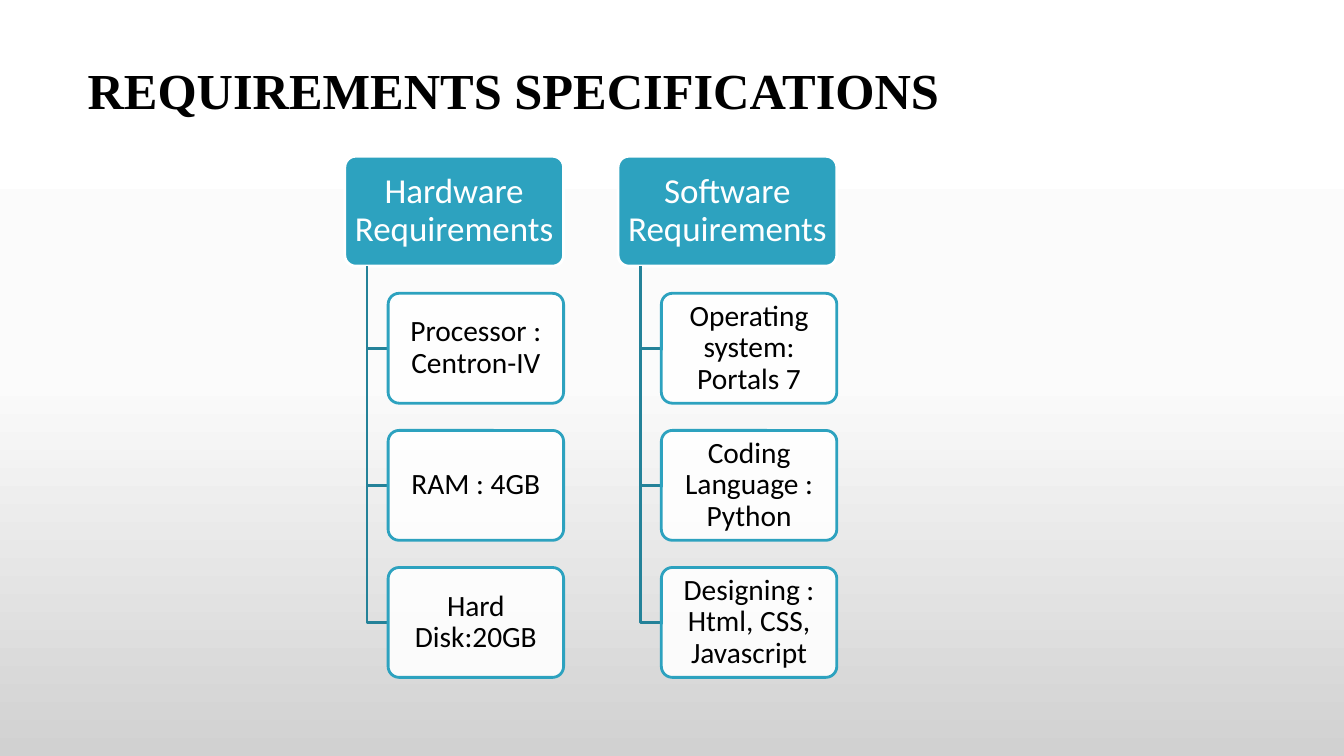
"""Build the requirements slide: two headed columns of linked boxes."""
from copy import deepcopy

from lxml import etree
from pptx import Presentation
from pptx.dml.color import RGBColor
from pptx.enum.shapes import MSO_SHAPE
from pptx.enum.text import MSO_ANCHOR, PP_ALIGN
from pptx.oxml.ns import qn
from pptx.util import Inches, Pt

ROUND = MSO_SHAPE.ROUNDED_RECTANGLE
MIDDLE = MSO_ANCHOR.MIDDLE
CENTER = PP_ALIGN.CENTER

THEME = {
    "teal": RGBColor.from_string("2DA2BF"),
    "link": RGBColor.from_string("248299"),
    "white": RGBColor.from_string("FFFFFF"),
    "black": RGBColor.from_string("000000"),
    "stops": [(0, "FFFFFF"), (0.5, "FBFBFB"), (1, "D1D1D1")],
    "line": Pt(2),
    "title": {"name": "Times New Roman", "size": Pt(36), "bold": True},
    "head": {"name": "Calibri", "size": Pt(25)},
    "item": {"name": "Calibri", "size": Pt(21)},
}
COLUMNS = [
    ("Hardware Requirements",
     ["Processor : Centron-IV", "RAM : 4GB", "Hard Disk:20GB"]),
    ("Software Requirements",
     ["Operating system: Portals 7", "Coding Language : Python",
      "Designing : Html, CSS, Javascript"]),
]
LEFT, TOP, HIGH = 3.42, 1.55, 1.09
HEAD_W, ITEM_W = 2.17, 1.74
COL_STEP, ROW_STEP = 2.71, 1.36


def write(frame, text, font, color):
    """Put one styled run in a text frame."""
    run = frame.paragraphs[0].add_run()
    run.text = text
    for key, value in font.items():
        setattr(run.font, key, value)
    run.font.color.rgb = color


def add_box(x, y, width, text, style, fill, edge, color, inset):
    """Add a rounded box with centred text."""
    box = slide.shapes.add_shape(
        ROUND, Inches(x), Inches(y), Inches(width), Inches(HIGH))
    box.adjustments[0] = 0.1
    box.shadow.inherit = False
    box.fill.solid()
    box.fill.fore_color.rgb = fill
    box.line.color.rgb = edge
    box.line.width = THEME["line"]
    frame = box.text_frame
    layout = {
        "word_wrap": True, "vertical_anchor": MIDDLE,
        "margin_left": Inches(inset), "margin_right": Inches(inset),
        "margin_top": Inches(0.03), "margin_bottom": Inches(0.03),
    }
    for key, value in layout.items():
        setattr(frame, key, value)
    frame.paragraphs[0].alignment = CENTER
    frame.paragraphs[0].line_spacing = 0.9
    write(frame, text, THEME[style], color)
    return box


deck = Presentation()
deck.slide_width, deck.slide_height = Inches(13.33), Inches(7.5)
slide = deck.slides.add_slide(deck.slide_layouts[6])

back = slide.background.fill
back.gradient()
back.gradient_angle = 270
stop_list = slide.element.find(".//" + qn("a:gsLst"))
stop_list.append(deepcopy(stop_list[-1]))
for stop, (place, shade) in zip(back.gradient_stops, THEME["stops"]):
    stop.position = place
    stop.color.rgb = RGBColor.from_string(shade)

title = slide.shapes.add_textbox(
    Inches(0.77), Inches(0.54), Inches(10.01), Inches(0.71))
title.text_frame.word_wrap = True
write(title.text_frame, "REQUIREMENTS SPECIFICATIONS",
      THEME["title"], THEME["black"])

for col, (head, items) in enumerate(COLUMNS):
    x = LEFT + col * COL_STEP
    trunk, item_x, base = x + 0.22, x + 0.43, TOP + HIGH
    add_box(x, TOP, HEAD_W, head, "head",
            THEME["teal"], THEME["white"], THEME["white"], 0.05)
    for row, item in enumerate(items):
        y = 2.91 + row * ROW_STEP
        mid = y + HIGH / 2
        pen = slide.shapes.build_freeform(Inches(trunk), Inches(base))
        pen.add_line_segments(
            [(Inches(trunk), Inches(mid)), (Inches(item_x), Inches(mid))],
            close=False)
        link = pen.convert_to_shape()
        link.shadow.inherit = False
        link.fill.background()
        link.line.color.rgb = THEME["link"]
        link.line.width = THEME["line"]
        box = add_box(item_x, y, ITEM_W, item, "item",
                      THEME["white"], THEME["teal"], THEME["black"], 0.04)
        tint = box.element.spPr.find(qn("a:solidFill"))[0]
        etree.SubElement(tint, qn("a:alpha"), val="90000")

deck.save("out.pptx")
